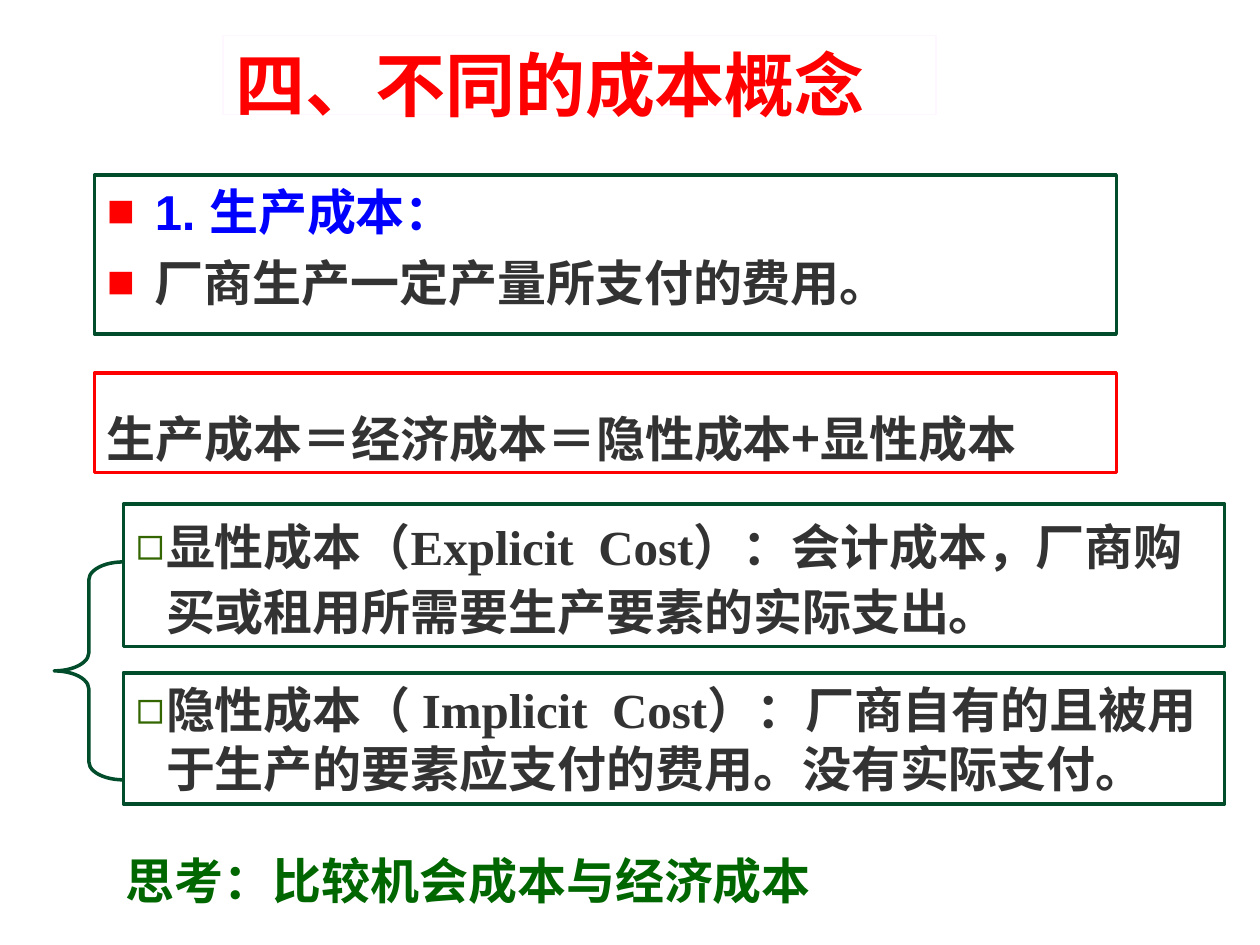
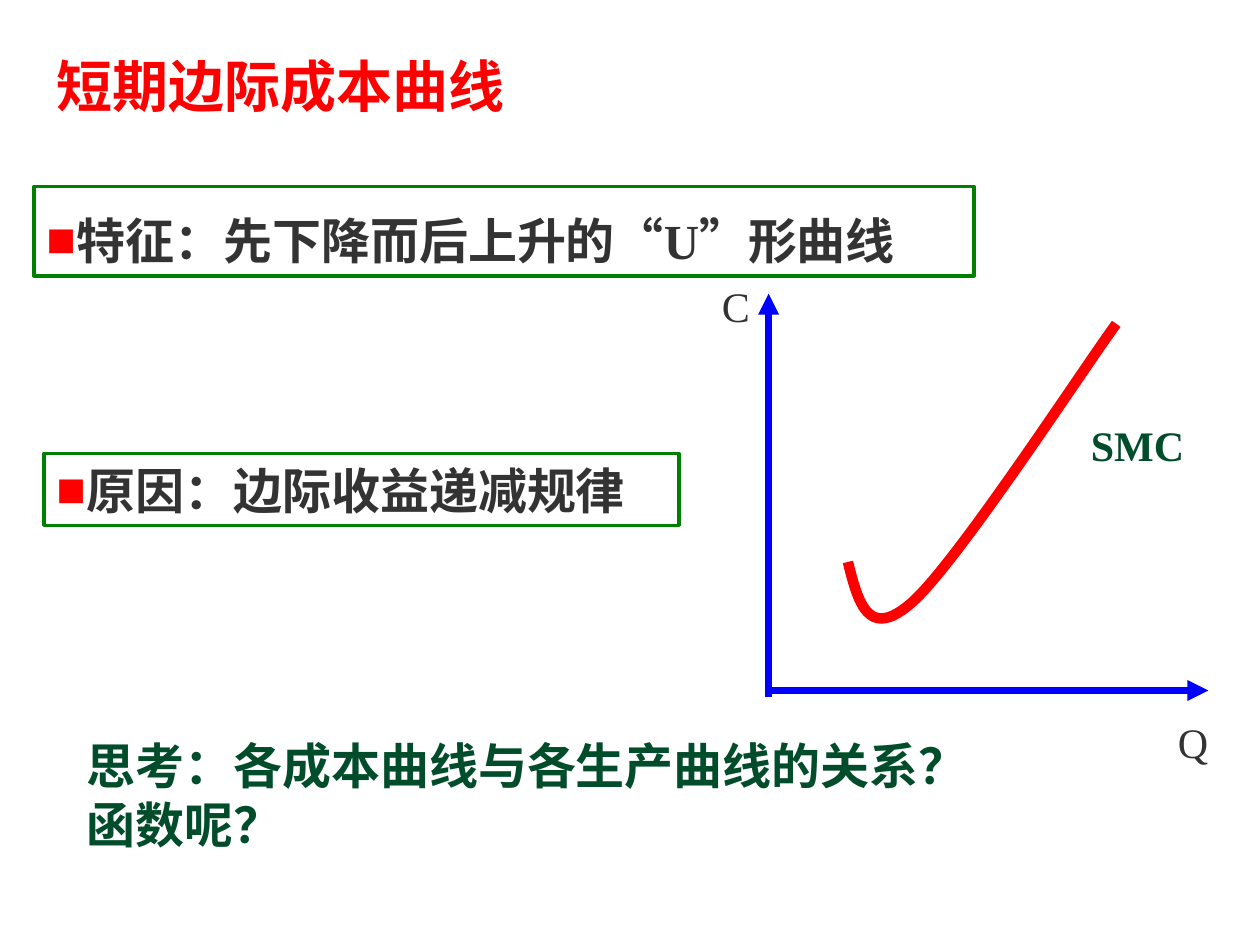
from dataclasses import dataclass
from lxml.etree import SubElement
from pptx import Presentation
from pptx.dml.color import RGBColor
from pptx.enum.shapes import MSO_CONNECTOR, MSO_SHAPE
from pptx.enum.text import MSO_ANCHOR, MSO_AUTO_SIZE, PP_ALIGN
from pptx.oxml.ns import qn
from pptx.util import Inches, Pt


@dataclass(frozen=True)
class Theme:
    white: str = "FFFFFF"
    blush: str = "FFF7FF"
    red: str = "FF0000"
    blue: str = "0000FF"
    ink: str = "333333"
    pine: str = "004C2B"
    leaf: str = "008000"
    moss: str = "006600"
    olive: str = "336600"
    sans: str = "Arial"
    serif: str = "Times New Roman"
    asian: str = "Noto Sans CJK SC"
    head: int = 40
    subhead: int = 32
    body: int = 28
    label: int = 24
    frame: float = 2
    axis: float = 4
    curve: float = 6


T = Theme()


def rgb(code):
    return RGBColor.from_string(code)


def add_mark(para, mark, color, size, hang):
    props = para._p.get_or_add_pPr()
    props.set("marL", str(Inches(hang)))
    props.set("indent", str(-Inches(hang)))
    tint = SubElement(props, qn("a:buClr"))
    SubElement(tint, qn("a:srgbClr"), val=color)
    SubElement(props, qn("a:buSzPct"), val=str(size * 1000))
    SubElement(props, qn("a:buFont"), typeface=T.sans)
    SubElement(props, qn("a:buChar"), char=mark)


def put_text(frame, text, size=T.body, font=T.serif, color=T.ink, bold=True,
             space=None, before=0, mark=None, tint=T.red, scale=100,
             hang=0.24, more=False):
    para = frame.add_paragraph() if more else frame.paragraphs[0]
    para.alignment = PP_ALIGN.LEFT
    para.space_before = Pt(before)
    if space:
        para.line_spacing = space
    if mark:
        add_mark(para, mark, tint, scale, hang)
    run = para.add_run()
    run.text = text
    run.font.size = Pt(size)
    run.font.bold = bold
    run.font.color.rgb = rgb(color)
    run.font.name = font
    props = run._r.get_or_add_rPr()
    props.set("lang", "zh-CN")
    SubElement(props, qn("a:ea"), typeface=T.asian)


def add_box(slide, left, top, width, height, line, weight=T.frame,
            anchor=MSO_ANCHOR.MIDDLE):
    box = slide.shapes.add_shape(MSO_SHAPE.RECTANGLE, Inches(left), Inches(top),
                                 Inches(width), Inches(height))
    box.shadow.inherit = False
    box.fill.solid()
    box.fill.fore_color.rgb = rgb(T.white)
    box.line.color.rgb = rgb(line)
    box.line.width = Pt(weight)
    frame = box.text_frame
    frame.word_wrap = True
    frame.vertical_anchor = anchor
    return frame


def add_title(slide, text, left, top, width, height, size, line=T.white):
    frame = add_box(slide, left, top, width, height, line, 0.75, MSO_ANCHOR.TOP)
    put_text(frame, text, size=size, font=T.sans, color=T.red)


def add_label(slide, text, left, top, width, **style):
    box = slide.shapes.add_textbox(Inches(left), Inches(top), Inches(width), Inches(0.5))
    box.text_frame.word_wrap = False
    box.text_frame.auto_size = MSO_AUTO_SIZE.SHAPE_TO_FIT_TEXT
    put_text(box.text_frame, text, size=T.label, **style)


def add_brace(slide, left, top, width, height):
    brace = slide.shapes.add_shape(MSO_SHAPE.LEFT_BRACE, Inches(left), Inches(top),
                                   Inches(width), Inches(height))
    brace.adjustments[0] = 0.26
    brace.shadow.inherit = False
    brace.fill.background()
    brace.line.color.rgb = rgb(T.pine)
    brace.line.width = Pt(T.frame)


def add_axis(slide, start, end):
    axis = slide.shapes.add_connector(MSO_CONNECTOR.STRAIGHT,
                                      *(Inches(v) for v in start + end))
    axis.line.color.rgb = rgb(T.blue)
    axis.line.width = Pt(T.axis)
    SubElement(axis.line._get_or_add_ln(), qn("a:tailEnd"), type="triangle")
    SubElement(axis._element.spPr, qn("a:effectLst"))


def trace(a, b, c, d, steps=24):
    for i in range(1, steps + 1):
        t = i / steps
        s = 1 - t
        yield tuple(Inches(s**3 * p + 3 * s * s * t * q + 3 * s * t * t * u + t**3 * v)
                    for p, q, u, v in zip(a, b, c, d))


def add_curve(slide, knots):
    pen = slide.shapes.build_freeform(*(Inches(v) for v in knots[0]))
    dots = [dot for i in range(0, len(knots) - 1, 3) for dot in trace(*knots[i:i + 4])]
    pen.add_line_segments(dots, close=False)
    curve = pen.convert_to_shape()
    curve.shadow.inherit = False
    curve.fill.background()
    curve.line.color.rgb = rgb(T.red)
    curve.line.width = Pt(T.curve)


def build_costs(slide):
    add_title(slide, "四、不同的成本概念", 1.77, 0.28, 5.66, 0.63, T.head, T.blush)
    frame = add_box(slide, 0.75, 1.39, 8.11, 1.26, T.pine, anchor=MSO_ANCHOR.TOP)
    point = dict(font=T.sans, mark="■", scale=95, hang=0.38)
    put_text(frame, "1. 生产成本：", color=T.blue, **point)
    put_text(frame, "厂商生产一定产量所支付的费用。", before=7, more=True, **point)

    kinds = [
        (4, 1.13, 1.1, "显性成本（Explicit  Cost）：会计成本，厂商购买或租用所需要生产要素的实际支出。"),
        (5.34, 1.04, 1, "隐性成本（ Implicit  Cost）：厂商自有的且被用于生产的要素应支付的费用。没有实际支付。"),
    ]
    for top, height, space, text in kinds:
        frame = add_box(slide, 0.98, top, 8.74, height, T.pine)
        put_text(frame, text, space=space, mark="◻", tint=T.olive, scale=95)

    frame = add_box(slide, 0.75, 2.96, 8.11, 0.79, T.red)
    put_text(frame, "生产成本＝经济成本＝隐性成本+显性成本", font=T.asian, space=1.5)
    add_brace(slide, 0.43, 4.46, 0.55, 1.73)
    frame = add_box(slide, 0.9, 6.51, 6.85, 0.71, T.white)
    put_text(frame, "思考：比较机会成本与经济成本", font=T.asian, color=T.moss, space=1.5)


def build_curve(slide):
    add_title(slide, "短期边际成本曲线", 0.35, 0.36, 8.5, 0.74, T.subhead)
    frame = add_box(slide, 0.35, 3.6, 5.04, 0.57, T.leaf)
    put_text(frame, "原因：边际收益递减规律", mark="■")
    frame = add_box(slide, 0.27, 1.48, 7.46, 0.71, T.leaf)
    put_text(frame, "特征：先下降而后上升的“U”形曲线", mark="■", space=1.3)

    add_axis(slide, (6.1, 5.53), (6.1, 2.33))
    add_axis(slide, (6.1, 5.48), (9.59, 5.48))
    add_curve(slide, [(6.73, 4.46), (6.81, 4.78), (6.89, 5.09), (7.24, 4.78),
                      (7.6, 4.46), (8.59, 2.94), (8.86, 2.57)])
    add_label(slide, "Q", 9.25, 5.64, 0.44, bold=False)
    add_label(slide, "C", 5.63, 2.18, 0.42, bold=False)
    add_label(slide, "SMC", 8.56, 3.28, 0.94, color=T.pine)

    box = slide.shapes.add_textbox(Inches(0.59), Inches(5.72), Inches(7.24), Inches(1.1))
    box.text_frame.word_wrap = True
    box.text_frame.vertical_anchor = MSO_ANCHOR.BOTTOM
    put_text(box.text_frame, "思考：各成本曲线与各生产曲线的关系？函数呢？", color=T.pine)


def main():
    deck = Presentation()
    deck.slide_width = Inches(10)
    deck.slide_height = Inches(7.5)
    for build in (build_costs, build_curve):
        build(deck.slides.add_slide(deck.slide_layouts[6]))
    deck.save("out.pptx")


if __name__ == "__main__":
    main()
